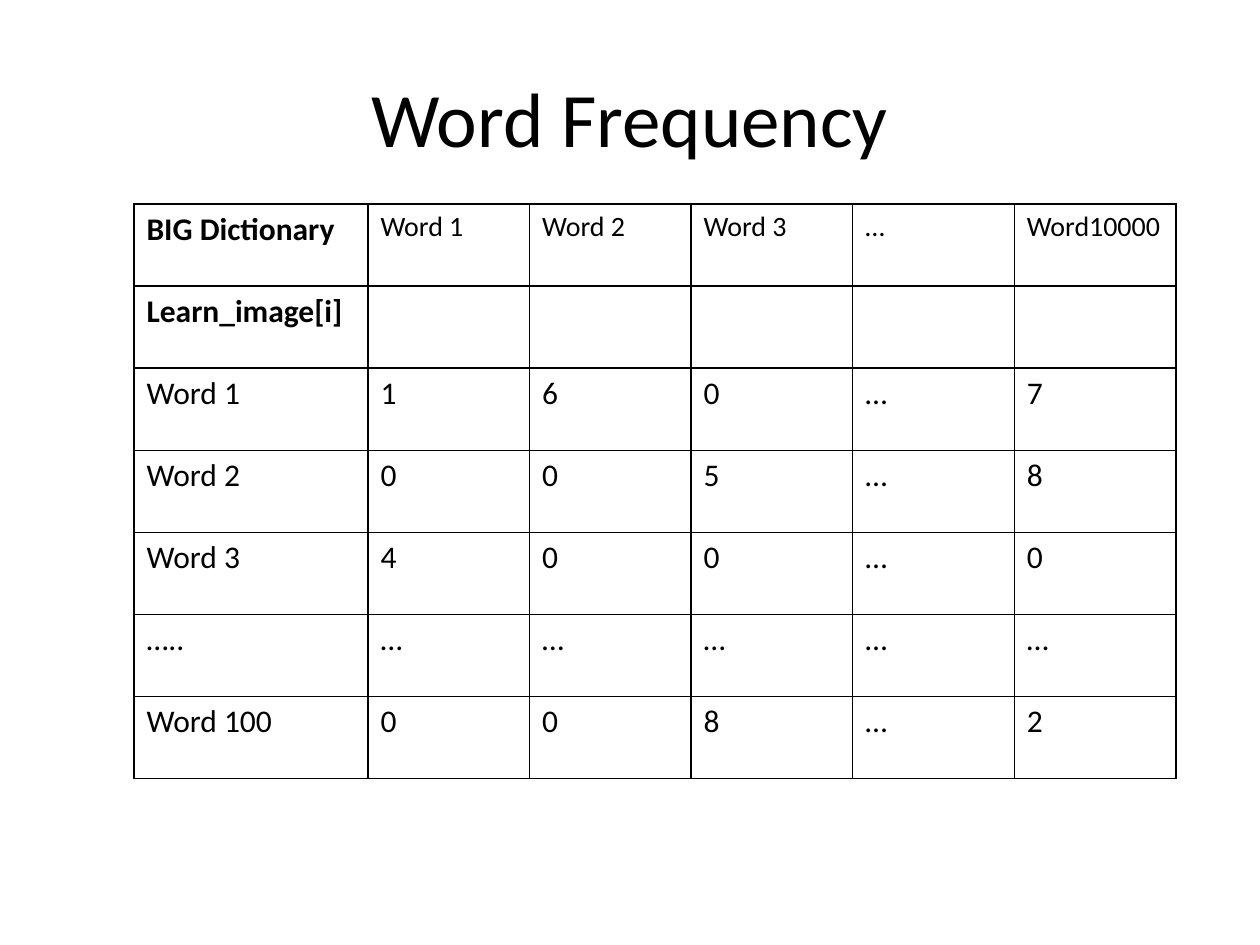
from lxml import etree
from pptx import Presentation
from pptx.dml.color import RGBColor
from pptx.enum.text import MSO_ANCHOR, PP_ALIGN
from pptx.oxml.ns import qn
from pptx.util import Emu, Pt

CENTER, LEFT = PP_ALIGN.CENTER, PP_ALIGN.LEFT
MIDDLE, TOP = MSO_ANCHOR.MIDDLE, MSO_ANCHOR.TOP
TITLE_ONLY = 5
PIXEL = 914400 / 126
FONT = "Calibri"
COLORS = {"ink": "000000", "paper": "FFFFFF"}

TITLE_BOX = (63, 38, 1134, 157)
TABLE_BOX = (134, 204, 1042, 575)
FIRST_COLUMN = 234
ROWS = [
    ["BIG Dictionary", "Word 1", "Word 2", "Word 3", "…", "Word10000"],
    ["Learn_image[i]", "", "", "", "", ""],
    ["Word 1", "1", "6", "0", "…", "7"],
    ["Word 2", "0", "0", "5", "…", "8"],
    ["Word 3 ", "4", "0", "0", "…", "0"],
    ["…..", "…", "…", "…", "…", "…"],
    ["Word 100", "0", "0", "8", "…", "2"],
]


def px(length):
    return Emu(round(length * PIXEL))


def color(name):
    return RGBColor.from_string(COLORS[name])


def write(frame, text, size, bold=False, align=LEFT):
    para = frame.paragraphs[0]
    para.alignment = align
    if not text:
        para.font.size = Pt(size)
        return
    span = para.add_run()
    span.text = text
    span.font.name = FONT
    span.font.size = Pt(size)
    span.font.bold = bold
    span.font.color.rgb = color("ink")


def add_borders(cell):
    properties = cell._tc.get_or_add_tcPr()
    for index, side in enumerate(("a:lnL", "a:lnR", "a:lnT", "a:lnB")):
        line = etree.Element(qn(side), w=str(Pt(1)))
        fill = etree.SubElement(line, qn("a:solidFill"))
        etree.SubElement(fill, qn("a:srgbClr"), val=COLORS["ink"])
        properties.insert(index, line)


def place_title(page, box):
    title = page.shapes.title
    title.left, title.top, title.width, title.height = map(px, box)
    title.text_frame.vertical_anchor = MIDDLE
    write(title.text_frame, "Word Frequency", 44, align=CENTER)


def place_table(page, box):
    width, height = box[2:]
    row_count, column_count = len(ROWS), len(ROWS[0])
    table = page.shapes.add_table(row_count, column_count, *map(px, box)).table
    table.first_row = table.horz_banding = False

    # Wide label column, equal value columns and rows
    for index, column in enumerate(table.columns):
        share = (width - FIRST_COLUMN) / (column_count - 1)
        column.width = px(share if index else FIRST_COLUMN)
    for row in table.rows:
        row.height = px(height / row_count)

    for r, texts in enumerate(ROWS):
        for c, text in enumerate(texts):
            cell = table.cell(r, c)
            cell.vertical_anchor = TOP
            cell.fill.solid()
            cell.fill.fore_color.rgb = color("paper")
            add_borders(cell)
            size = 16 if r == 0 and c > 0 else 18
            write(cell.text_frame, text, size, bold=r < 2 and c == 0)


deck = Presentation()
deck.slide_width, deck.slide_height = px(1260), px(945)
page = deck.slides.add_slide(deck.slide_layouts[TITLE_ONLY])
page.background.fill.solid()
page.background.fill.fore_color.rgb = color("paper")
place_title(page, TITLE_BOX)
place_table(page, TABLE_BOX)
deck.save("out.pptx")
